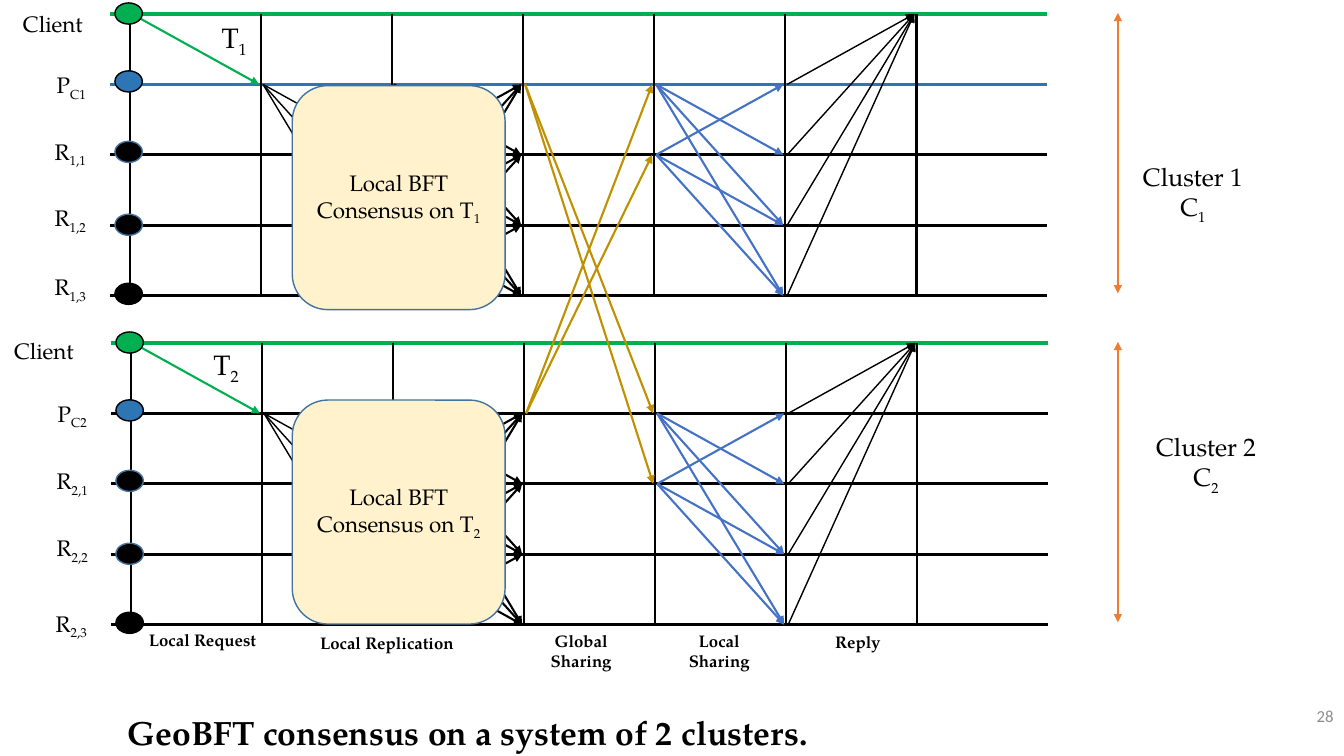
from dataclasses import dataclass
from itertools import permutations
from typing import NamedTuple

import lxml.etree
import pptx
import pptx.dml.color
import pptx.enum.shapes
import pptx.enum.text
import pptx.oxml.ns
import pptx.util

Pt = pptx.util.Pt
Align = pptx.enum.text.PP_ALIGN
Preset = pptx.enum.shapes.MSO_SHAPE
qn = pptx.oxml.ns.qn


@dataclass(frozen=True)
class Theme:
    serif: str = "TeX Gyre Pagella"
    sans: str = "Calibri"
    black: str = "000000"
    green: str = "00B050"
    blue: str = "2E75B6"
    share: str = "4472C4"
    gold: str = "BF9000"
    orange: str = "ED7D31"
    cream: str = "FFF2CC"
    outline: str = "43739E"
    grey: str = "8C8C8C"
    small: float = 12
    label: float = 16
    cluster: float = 18
    transaction: float = 20
    title: float = 24


class Point(NamedTuple):
    x: float
    y: float


class Box(NamedTuple):
    left: float
    top: float
    width: float
    height: float


class Words(NamedTuple):
    text: str
    sub: str = ""


class Node(NamedTuple):
    fill: str
    outline: str
    lift: float


class Stage(NamedTuple):
    column: int
    hops: list[tuple[int, int]]
    color: str
    weight: float


@dataclass(frozen=True)
class Cluster:
    number: int
    origin: Point
    primary_color: str
    label_tops: tuple[float, ...]
    label_rights: tuple[float, ...]
    transaction: Box
    consensus_top: float
    caption: Box

    def at(self, column: int, row: int) -> Point:
        return Point(self.origin.x + column * COLUMN_GAP, self.origin.y + row * ROW_GAP)


theme = Theme()
COLUMN_GAP, ROW_GAP = 93.6, 50.3
COLUMNS, ROWS = 7, 5
ARROW_GAP = 1.4

NODES = [
    Node(theme.green, theme.black, 0),
    Node(theme.blue, theme.black, 1.8),
    Node(theme.black, theme.outline, 1.8),
    Node(theme.black, theme.outline, 0),
    Node(theme.black, theme.black, 1),
]
# Messages of each phase, as (sending row, receiving row)
STAGES = [
    Stage(0, [(0, 1)], theme.green, 1.5),
    Stage(1, [(1, 2), (1, 3), (1, 4)], theme.black, 1),
    Stage(2, list(permutations(range(1, ROWS), 2)), theme.black, 1.5),
    Stage(4, [(1, 2), (1, 3), (1, 4), (2, 1), (2, 3), (2, 4)], theme.share, 1.5),
    Stage(5, [(row, 0) for row in range(1, ROWS)], theme.black, 1),
]
CLUSTERS = [
    Cluster(2, Point(93.6, 245), theme.black, (237.6, 282.2, 330.5, 378, 432),
            (59.8, 69.1, 69.8, 69.8, 69.1), Box(145.4, 244.8, 44, 31.7), 285.8,
            Box(817.9, 304.6, 87.1, 51.1)),
    Cluster(1, Point(92.9, 10), theme.blue, (3.6, 47.5, 95, 142.6, 191.5),
            (66.2, 68.4, 68.4, 68.4, 68.4), Box(151.2, 10.8, 44, 31.7), 61.2,
            Box(807.8, 111.6, 88.6, 51.1)),
]
PHASES = [
    (Box(98.6, 446.4, 92.2, 21.6), ["Local Request"]),
    (Box(221, 448.6, 110.9, 21.6), ["Local Replication"]),
    (Box(386, 446.9, 58.3, 36), ["Global", "Sharing"]),
    (Box(484.6, 447.1, 58.3, 36), ["Local", "Sharing"]),
    (Box(589, 447.8, 47.5, 21.6), ["Reply"]),
]

deck = pptx.Presentation()
deck.slide_width, deck.slide_height = Pt(960), Pt(540)
slide = deck.slides.add_slide(deck.slide_layouts[6])


def rgb(color: str) -> pptx.dml.color.RGBColor:
    return pptx.dml.color.RGBColor.from_string(color)


def write(frame, lines: list[Words], size: float, align=Align.CENTER,
          color: str = theme.black, font: str = theme.serif, bold: bool = False) -> None:
    for index, words in enumerate(lines):
        paragraph = frame.paragraphs[0] if index == 0 else frame.add_paragraph()
        paragraph.alignment = align
        paragraph.font.name, paragraph.font.size = font, Pt(size)
        paragraph.font.bold = bold
        paragraph.font.color.rgb = rgb(color)
        paragraph.add_run().text = words.text
        if words.sub:
            subscript = paragraph.add_run()
            subscript.text = words.sub
            subscript._r.get_or_add_rPr().set("baseline", "-25000")


def add_text(box: Box, lines: list[Words], size: float, **style):
    frame = slide.shapes.add_textbox(*map(Pt, box)).text_frame
    frame.word_wrap = False
    write(frame, lines, size, **style)
    return frame


def add_line(start: Point, end: Point, color: str, weight: float,
             heads: tuple[str, ...] = ()) -> None:
    line = slide.shapes.add_connector(pptx.enum.shapes.MSO_CONNECTOR.STRAIGHT,
                                      *map(Pt, (*start, *end)))
    line.line.color.rgb = rgb(color)
    line.line.width = Pt(weight)
    properties = line._element.spPr
    for head in heads:
        lxml.etree.SubElement(properties.find(qn("a:ln")), qn(head), type="triangle")
    lxml.etree.SubElement(properties, qn("a:effectLst"))


def add_message(start: Point, end: Point, color: str, weight: float) -> None:
    add_line(Point(start.x + ARROW_GAP, start.y), Point(end.x - ARROW_GAP, end.y),
             color, weight, ("a:tailEnd",))


def add_shape(preset, box: Box, fill: str, outline: str):
    shape = slide.shapes.add_shape(preset, *map(Pt, box))
    shape.shadow.inherit = False
    shape.fill.solid()
    shape.fill.fore_color.rgb = rgb(fill)
    shape.line.color.rgb = rgb(outline)
    shape.line.width = Pt(1)
    return shape


def draw_cluster(cluster: Cluster) -> None:
    number = str(cluster.number)
    # Lifelines and phase borders
    for row in range(ROWS):
        color = {0: theme.green, 1: cluster.primary_color}.get(row, theme.black)
        start = cluster.at(0, row)
        add_line(Point(start.x - 14.4, start.y), Point(start.x + 655.2, start.y), color, 2.25)
    for column in range(COLUMNS):
        add_line(cluster.at(column, 0), cluster.at(column, ROWS - 1), theme.black, 1.75)
    # Messages
    for stage in STAGES:
        for sender, receiver in stage.hops:
            add_message(cluster.at(stage.column, sender),
                        cluster.at(stage.column + 1, receiver), stage.color, stage.weight)
    # Participants and their labels
    names = [Words("Client"), Words("P", f"C{number}")]
    names += [Words("R", f"{number},{replica}") for replica in range(1, 4)]
    for row, (node, name) in enumerate(zip(NODES, names)):
        center = cluster.at(0, row)
        add_shape(Preset.OVAL, Box(center.x - 10.8, center.y - node.lift - 7.9, 19.6, 15.1),
                  node.fill, node.outline)
        width = 38.2 if name.sub else 57.6
        add_text(Box(cluster.label_rights[row] - width, cluster.label_tops[row], width, 26.6),
                 [name], theme.label, align=Align.RIGHT)
    # Consensus block, transaction and cluster extent
    consensus = add_shape(Preset.ROUNDED_RECTANGLE,
                          Box(208.8, cluster.consensus_top, 152, 160), theme.cream, theme.outline)
    write(consensus.text_frame, [Words("Local BFT Consensus on T", number)], theme.label)
    add_text(cluster.transaction, [Words("T", number)], theme.transaction, align=Align.LEFT)
    top, bottom = cluster.at(0, 0).y - 0.8, cluster.at(0, ROWS - 1).y - 1.6
    add_line(Point(798.5, top), Point(798.5, bottom), theme.orange, 1.5,
             ("a:headEnd", "a:tailEnd"))
    add_text(cluster.caption, [Words(f"Cluster {number}"), Words("C", number)], theme.cluster)


for cluster in CLUSTERS:
    draw_cluster(cluster)

# Global sharing between the clusters
for sending, receiving in permutations(CLUSTERS):
    for row in (1, 2):
        add_message(sending.at(3, 1), receiving.at(4, row), theme.gold, 1.5)

# Phase names, title and page number
for box, lines in PHASES:
    add_text(box, [Words(line) for line in lines], theme.small, bold=True)
add_text(Box(73.4, 504.7, 510.5, 36), [Words("GeoBFT consensus on a system of 2 clusters.")],
         theme.title, align=Align.RIGHT, bold=True)
page = add_text(Box(837.4, 496.8, 122.4, 28.8), [Words("28")], theme.small,
                align=Align.RIGHT, color=theme.grey, font=theme.sans)
page.vertical_anchor = pptx.enum.text.MSO_ANCHOR.MIDDLE

deck.save("out.pptx")
